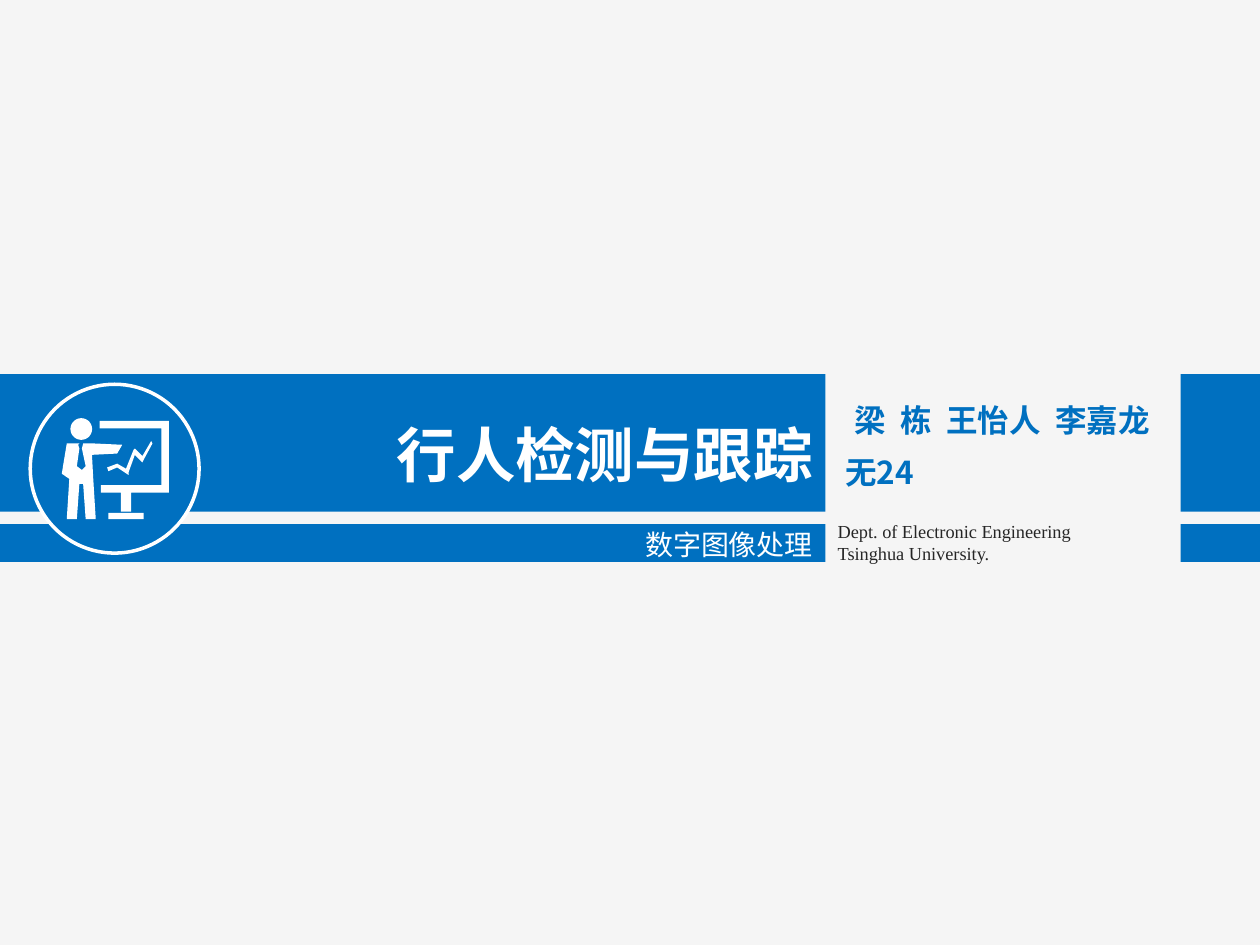
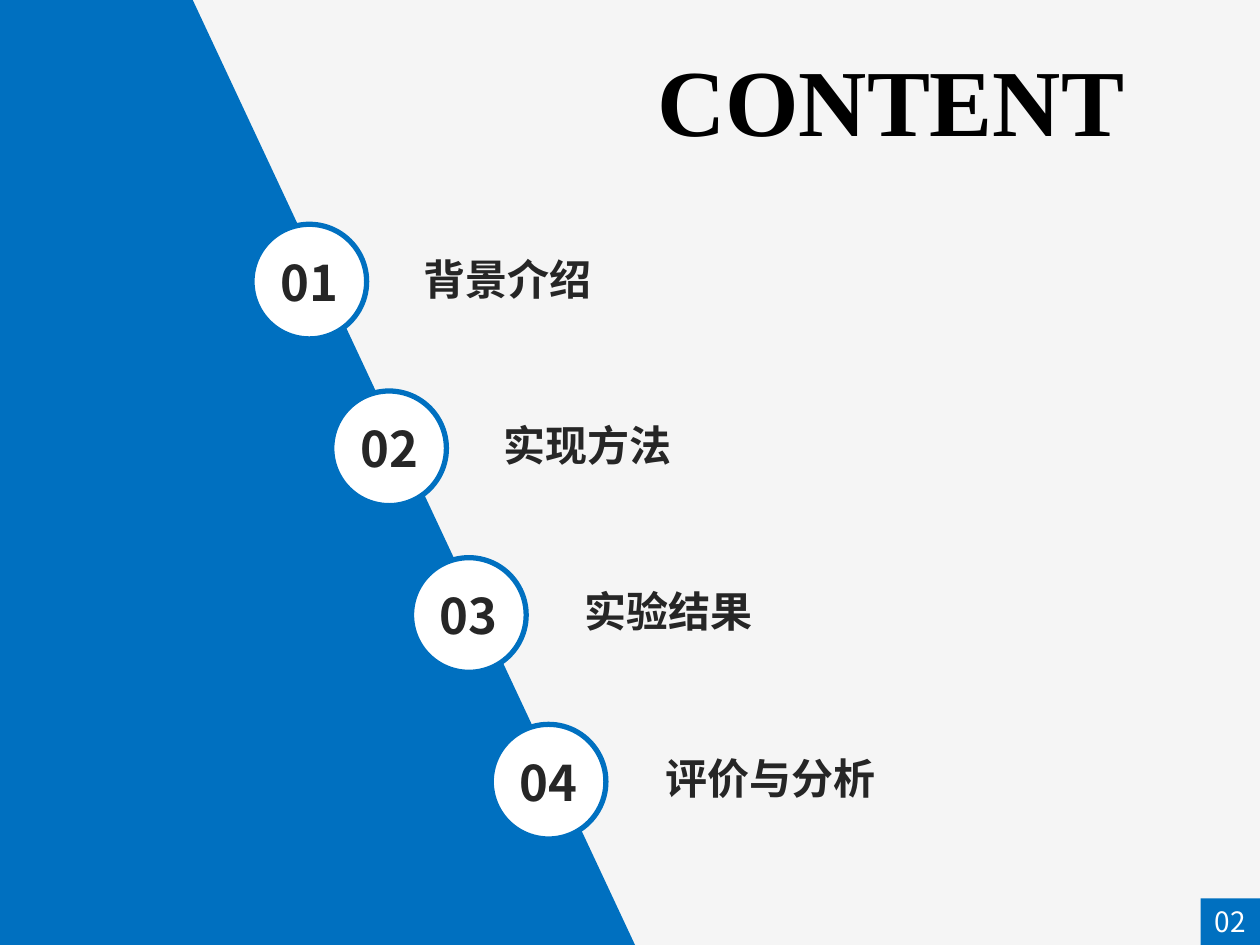
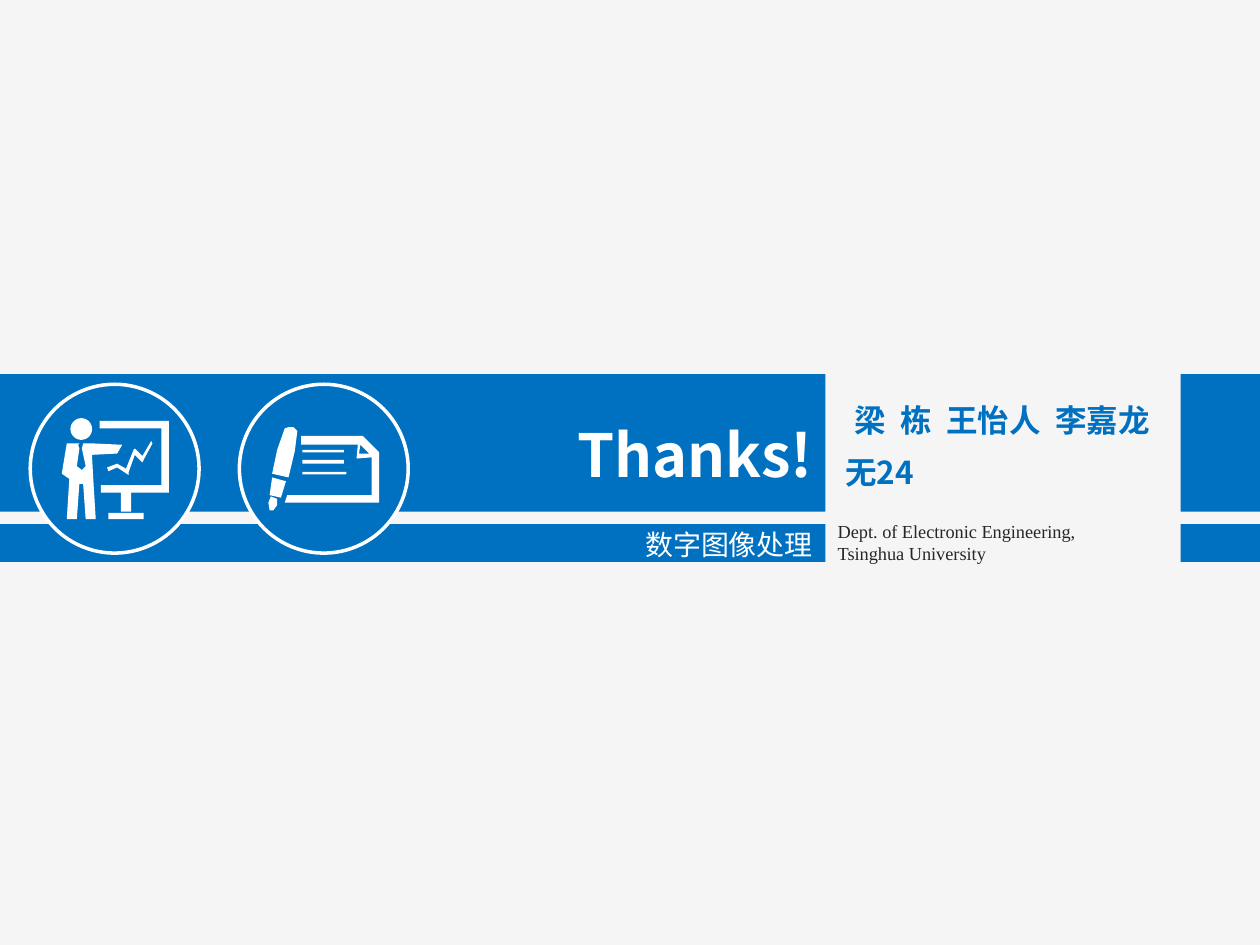
import math

import pptx
import pptx.dml.color
import pptx.enum.shapes
import pptx.enum.text
import pptx.oxml
import pptx.oxml.ns
import pptx.util

Inches = pptx.util.Inches
ALIGN = pptx.enum.text.PP_ALIGN
ANCHOR = pptx.enum.text.MSO_ANCHOR
SHAPE = pptx.enum.shapes.MSO_SHAPE

BLUE, WHITE, DARK, BLACK, PAPER = "0070C0", "FFFFFF", "262626", "000000", "F5F5F5"
SANS, SERIF = "Noto Sans CJK SC", "Times New Roman"

AUTHORS = "梁  栋  王怡人  李嘉龙"
CLASS_NAME = "无24"
COURSE = "数字图像处理"
TOPICS = ["背景介绍", "实现方法", "实验结果", "评价与分析"]

BAND_ROWS = [(2.97, 1.09), (4.16, 0.3)]
BAND_COLUMNS = [(0, 6.55), (9.37, 0.63)]
AUTHOR_LEFT, AUTHOR_WIDTH = 6.55, 2.81


def circle_points(center_x, center_y, radius, count=36):
    angles = [2 * math.pi * step / count for step in range(count)]
    return [(center_x + radius * math.cos(angle), center_y + radius * math.sin(angle))
            for angle in angles]


def box_points(left, top, right, bottom):
    return [(left, top), (right, top), (right, bottom), (left, bottom)]


PRESENTER_ICON = [
    circle_points(0.645, 3.405, 0.086),
    # trend line
    [(0.85, 3.71), (0.93, 3.68), (1, 3.72), (1.06, 3.57), (1.07, 3.56), (1.13, 3.62),
     (1.2, 3.5), (1.21, 3.52), (1.14, 3.65), (1.13, 3.67), (1.07, 3.61), (1.02, 3.75),
     (1.02, 3.77), (0.93, 3.71), (0.86, 3.74)],
    # foot of the stand
    box_points(0.86, 4.07, 1.14, 4.12),
    # board and stand
    [(1.04, 3.91), (1.34, 3.91), (1.34, 3.34), (0.79, 3.34), (0.79, 3.4), (1.28, 3.4),
     (1.28, 3.85), (0.8, 3.85), (0.8, 3.91), (0.96, 3.91), (0.96, 4.06), (1.04, 4.06)],
    # body with tie
    [(0.49, 3.76), (0.55, 3.8), (0.53, 4.12), (0.61, 4.12), (0.63, 3.84), (0.66, 3.84),
     (0.68, 4.12), (0.76, 4.12), (0.74, 3.8), (0.73, 3.61), (0.93, 3.6), (0.97, 3.53),
     (0.75, 3.52), (0.66, 3.52), (0.65, 3.56), (0.68, 3.7), (0.65, 3.73), (0.61, 3.7),
     (0.63, 3.56), (0.62, 3.53), (0.63, 3.52), (0.53, 3.52)],
]
DOCUMENT_ICON = [
    # pen: barrel, grip, nib
    [(2.16, 3.76), (2.2, 3.57), (2.26, 3.4), (2.29, 3.39), (2.33, 3.39), (2.36, 3.42),
     (2.34, 3.58), (2.29, 3.79)],
    [(2.16, 3.79), (2.27, 3.82), (2.23, 3.95), (2.14, 3.93)],
    [(2.15, 3.94), (2.2, 3.96), (2.2, 4.01), (2.17, 4.05), (2.14, 4.05), (2.13, 3.99)],
    # sheet and its folded corner
    [(2.28, 3.93), (2.26, 3.99), (3.01, 3.99), (3.01, 3.59), (2.88, 3.46), (2.39, 3.46),
     (2.39, 3.53), (2.84, 3.53), (2.83, 3.64), (2.95, 3.63), (2.95, 3.93)],
    [(2.93, 3.6), (2.85, 3.6), (2.86, 3.53)],
    # lines of writing
    box_points(2.4, 3.57, 2.73, 3.59),
    box_points(2.4, 3.65, 2.73, 3.68),
    box_points(2.4, 3.745, 2.75, 3.765),
]

COVER = {"title": "行人检测与跟踪", "title_left": 1.58, "course_left": 2.12,
         "department": ["Dept. of Electronic Engineering", "Tsinghua University."],
         "icons": [(0.24, PRESENTER_ICON)]}
CLOSING = {"title": "Thanks!", "title_left": 2.95, "course_left": 3.55,
           "department": ["Dept. of Electronic Engineering,", "Tsinghua University"],
           "icons": [(0.24, PRESENTER_ICON), (1.9, DOCUMENT_ICON)]}


def rgb(color):
    return pptx.dml.color.RGBColor.from_string(color)


def place(shape, left, top, width, height):
    shape.left, shape.top = Inches(left), Inches(top)
    shape.width, shape.height = Inches(width), Inches(height)


def write_text(shape, lines, size, color, font=SANS, bold=False, align=ALIGN.LEFT,
               anchor=ANCHOR.TOP, spacing=1.0, wrap=True):
    frame = shape.text_frame
    frame.text = lines if isinstance(lines, str) else "\n".join(lines)
    frame.word_wrap = wrap
    frame.auto_size = pptx.enum.text.MSO_AUTO_SIZE.NONE
    frame.vertical_anchor = anchor
    for paragraph in frame.paragraphs:
        paragraph.alignment = align
        paragraph.line_spacing = spacing
        for run in paragraph.runs:
            run.font.size = pptx.util.Pt(size)
            run.font.bold = bold
            run.font.name = font
            run.font.color.rgb = rgb(color)
            east_asian = pptx.oxml.parse_xml(
                f'<a:ea {pptx.oxml.ns.nsdecls("a")} typeface="{SANS}"/>')
            run.font._element.append(east_asian)


def add_text(slide, box, lines, **text_format):
    shape = slide.shapes.add_textbox(*map(Inches, box))
    write_text(shape, lines, **text_format)


def paint(shape, fill, line=None, line_width=0):
    shape.shadow.inherit = False
    shape.fill.solid()
    shape.fill.fore_color.rgb = rgb(fill)
    if line:
        shape.line.color.rgb = rgb(line)
        shape.line.width = pptx.util.Pt(line_width)
    else:
        shape.line.fill.background()


def add_figure(slide, kind, box, fill, line=None, line_width=0):
    shape = slide.shapes.add_shape(kind, *map(Inches, box))
    paint(shape, fill, line, line_width)
    return shape


def add_outline(slide, contours, fill):
    """Draw closed contours, in inches, as one freeform."""
    contours = [[(Inches(x), Inches(y)) for x, y in contour] for contour in contours]
    builder = slide.shapes.build_freeform(*contours[0][0])
    for index, contour in enumerate(contours):
        if index:
            builder.move_to(*contour[0])
        builder.add_line_segments(contour[1:], close=True)
    paint(builder.convert_to_shape(), fill)


def add_title(slide, box, text, **text_format):
    """Fill the title placeholder and bring it in front of the shapes drawn so far."""
    title = slide.shapes.title
    title.element.getparent().append(title.element)
    place(title, *box)
    write_text(title, text, bold=True, **text_format)


def add_slide(presentation):
    return presentation.slides.add_slide(presentation.slide_layouts[5])


def build_band_slide(presentation, content):
    slide = add_slide(presentation)
    for left, width in BAND_COLUMNS:
        for top, height in BAND_ROWS:
            add_figure(slide, SHAPE.RECTANGLE, (left, top, width, height), BLUE)

    band_right = BAND_COLUMNS[0][1]
    title_left, course_left = content["title_left"], content["course_left"]
    add_title(slide, (title_left, 3.13, band_right - title_left, 0.79), content["title"],
              size=34, color=WHITE, align=ALIGN.RIGHT, spacing=1.25)
    add_text(slide, (course_left, 4.07, band_right - course_left, 0.43), COURSE,
             size=16, color=WHITE, font=SERIF, align=ALIGN.RIGHT, spacing=1.25)

    add_text(slide, (AUTHOR_LEFT, 3.13, AUTHOR_WIDTH, 0.4), AUTHORS,
             size=18, color=BLUE, bold=True, align=ALIGN.CENTER)
    add_text(slide, (AUTHOR_LEFT + 0.06, 3.55, AUTHOR_WIDTH - 0.06, 0.4), CLASS_NAME,
             size=18, color=BLUE, bold=True)
    add_text(slide, (AUTHOR_LEFT, 4.08, AUTHOR_WIDTH, 0.47), content["department"],
             size=10.5, color=DARK, font=SERIF)

    for left, icon in content["icons"]:
        add_figure(slide, SHAPE.OVAL, (left, 3.05, 1.34, 1.34), BLUE, WHITE, 2)
        add_outline(slide, icon, WHITE)


def build_contents_slide(presentation):
    slide = add_slide(presentation)
    add_outline(slide, [[(0, 0), (1.53, 0), (5.04, 7.5), (0, 7.5)]], BLUE)
    add_title(slide, (4.77, 0.28, 4.6, 1.01), "CONTENT",
              size=54, color=BLACK, font=SERIF, align=ALIGN.CENTER)

    number_format = {"align": ALIGN.CENTER, "anchor": ANCHOR.MIDDLE, "wrap": False}
    for index, topic in enumerate(TOPICS):
        badge_box = (2 + 0.633 * index, 1.78 + 1.323 * index, 0.91, 0.91)
        badge = add_figure(slide, SHAPE.OVAL, badge_box, WHITE, BLUE, 3)
        write_text(badge, f"{index + 1:02}", size=28, color=DARK, bold=True, **number_format)
        label_left = 3.26 + 0.64 * index
        add_text(slide, (label_left, 1.96 + 1.32 * index, 9.37 - label_left, 0.5), topic,
                 size=24, color=DARK, bold=True)

    page_box = add_figure(slide, SHAPE.RECTANGLE, (9.53, 7.13, 0.47, 0.37), BLUE)
    write_text(page_box, "02", size=16, color=WHITE, **number_format)


def main():
    presentation = pptx.Presentation()
    presentation.slide_width, presentation.slide_height = Inches(10), Inches(7.5)
    background = presentation.slide_master.background.fill
    background.solid()
    background.fore_color.rgb = rgb(PAPER)

    build_band_slide(presentation, COVER)
    build_contents_slide(presentation)
    build_band_slide(presentation, CLOSING)
    presentation.save("out.pptx")


if __name__ == "__main__":
    main()
